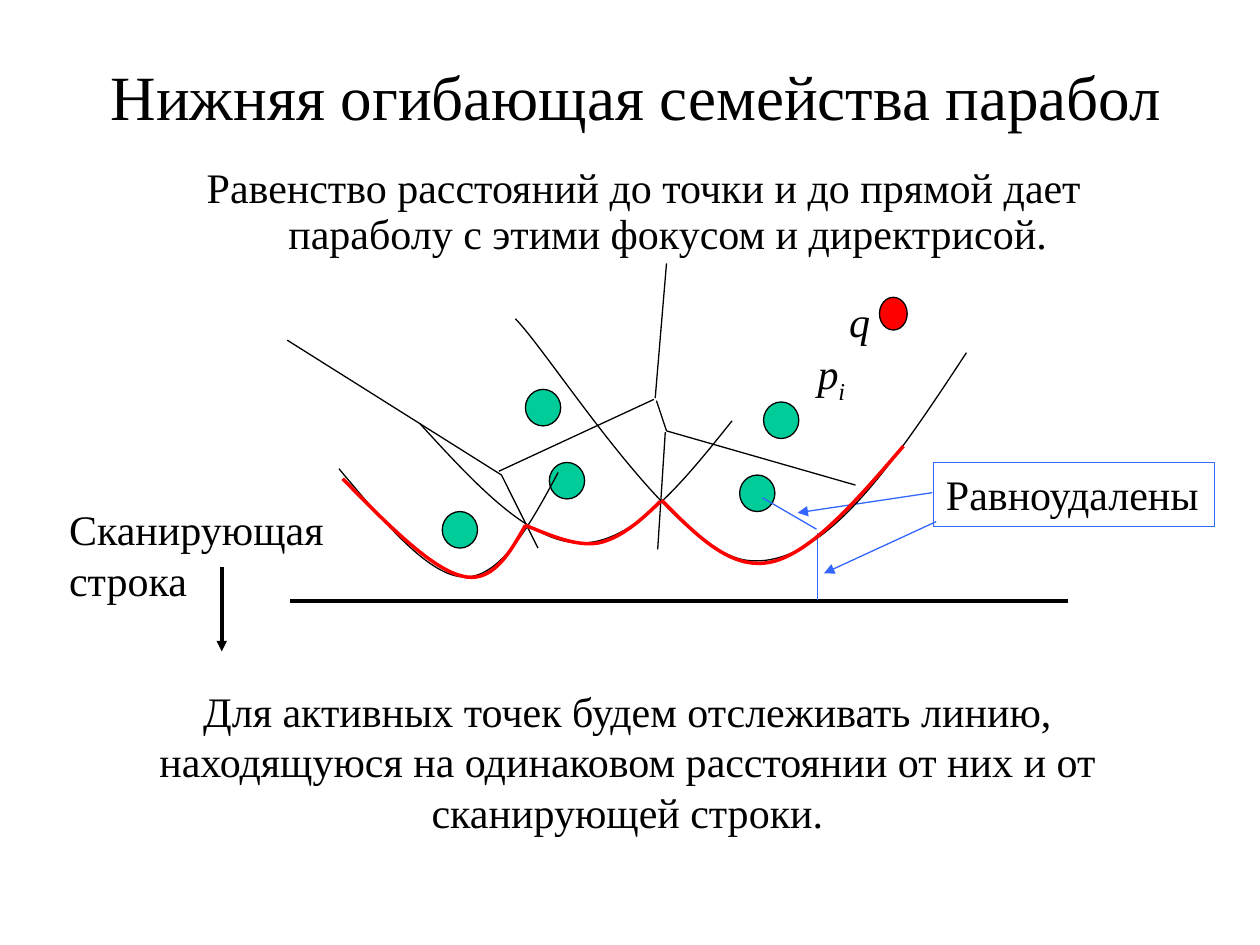
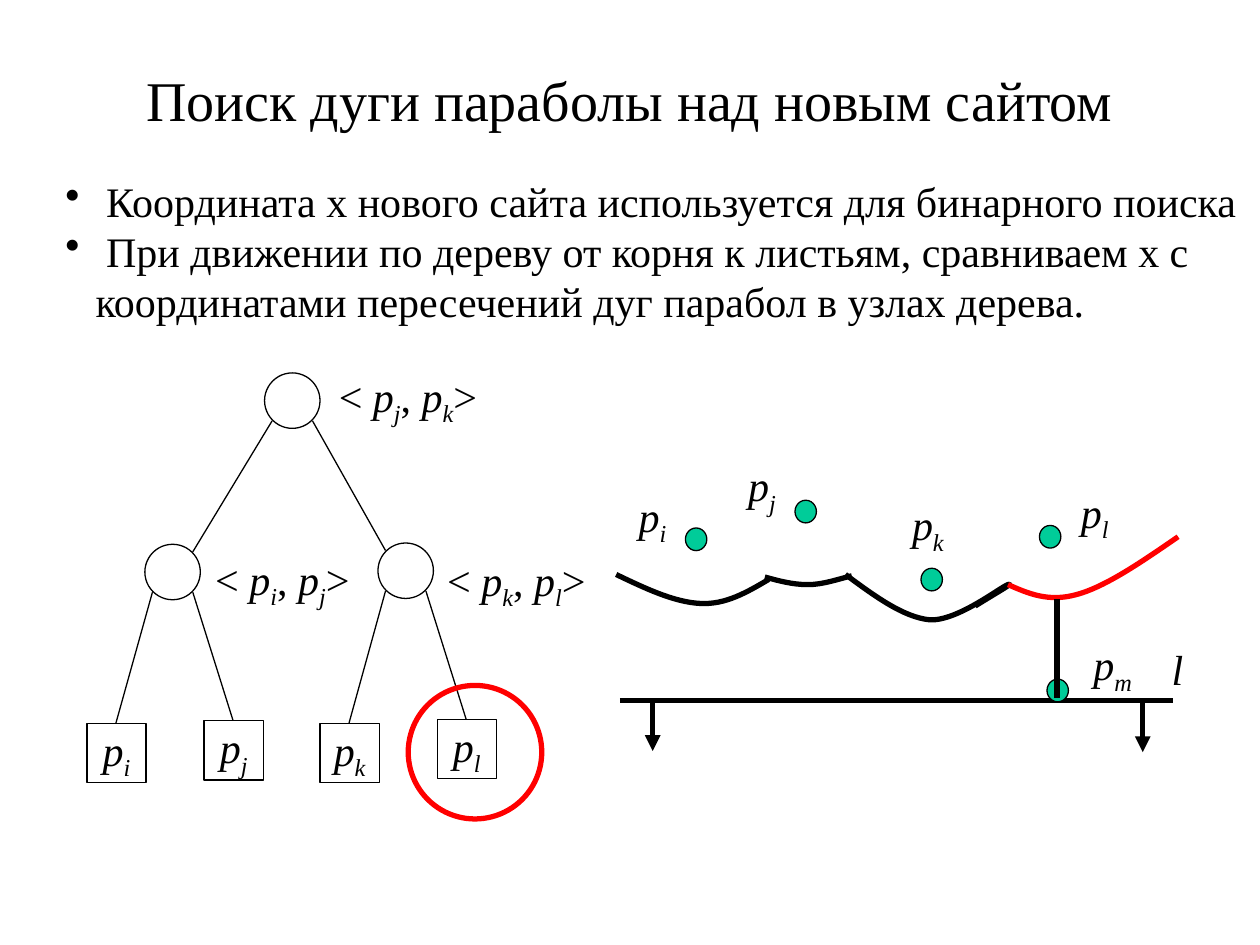
from lxml import etree
from pptx import Presentation
from pptx.dml.color import RGBColor
from pptx.enum.shapes import MSO_CONNECTOR, MSO_SHAPE
from pptx.enum.text import MSO_ANCHOR, MSO_AUTO_SIZE, PP_ALIGN
from pptx.oxml.ns import qn
from pptx.util import Pt

PX = 9144
FONT = "Times New Roman"
COLORS = {"ink": "000000", "paper": "FFFFFF", "site": "00CC99", "accent": "FF0000", "distance": "3366FF"}
STRAIGHT = MSO_CONNECTOR.STRAIGHT
ELLIPSE, RECT = MSO_SHAPE.OVAL, MSO_SHAPE.RECTANGLE
LEFT, CENTER = PP_ALIGN.LEFT, PP_ALIGN.CENTER
TOP, MIDDLE = MSO_ANCHOR.TOP, MSO_ANCHOR.MIDDLE
GROW, FIXED = MSO_AUTO_SIZE.SHAPE_TO_FIT_TEXT, MSO_AUTO_SIZE.NONE


def rgb(name):
    return RGBColor.from_string(COLORS[name])


class Deck:
    """Holds the shared style and the slide being drawn."""

    def __init__(self):
        self.prs = Presentation()
        self.prs.slide_width, self.prs.slide_height = 1000 * PX, 750 * PX
        self.shapes = None

    def new_slide(self, title, box, size):
        slide = self.prs.slides.add_slide(self.prs.slide_layouts[6])
        slide.background.fill.solid()
        slide.background.fill.fore_color.rgb = rgb("paper")
        self.shapes = slide.shapes
        self.text([title], box, size=size, align=CENTER, anchor=MIDDLE, grow=FIXED)

    def outline(self, line, color, weight):
        line.color.rgb = rgb(color)
        line.width = Pt(weight)

    def typeset(self, frame, pieces, size=24, align=LEFT):
        """Fill the last paragraph; a piece such as p_i is italic with a subscript."""
        paragraph = frame.paragraphs[-1]
        paragraph.alignment = align
        paragraph.font.name, paragraph.font.size = FONT, Pt(size)
        paragraph.font.color.rgb = rgb("ink")
        for piece in pieces:
            base, mark, index = piece.partition("_")
            run = paragraph.add_run()
            run.text = base
            if mark:
                run.font.italic = True
            if index:
                subscript = paragraph.add_run()
                subscript.text = index
                subscript.font.italic = True
                subscript._r.get_or_add_rPr().set("baseline", "-25000")

    def indent(self, paragraph, hang, bullet=None):
        properties = paragraph._p.get_or_add_pPr()
        properties.set("marL", str(hang * PX))
        properties.set("indent", str(-hang * PX))
        if bullet:
            mark = etree.Element(qn("a:buChar"), char=bullet)
            properties.find(qn("a:defRPr")).addprevious(mark)

    def fit(self, frame, wrap, anchor=TOP, grow=GROW):
        frame.word_wrap, frame.vertical_anchor, frame.auto_size = wrap, anchor, grow

    def text(self, pieces, box, size=24, align=LEFT, anchor=TOP, wrap=True, grow=GROW):
        frame = self.shapes.add_textbox(*(v * PX for v in box)).text_frame
        self.fit(frame, wrap, anchor, grow)
        self.typeset(frame, pieces, size, align)
        return frame

    def label(self, pieces, x, y, width=43):
        self.text(pieces, (x, y, width, 50), wrap=False)

    def shape(self, kind, box, fill=None, color="ink", weight=0.75):
        shape = self.shapes.add_shape(kind, *(v * PX for v in box))
        shape.shadow.inherit = False
        if fill:
            shape.fill.solid()
            shape.fill.fore_color.rgb = rgb(fill)
        else:
            shape.fill.background()
        if color:
            self.outline(shape.line, color, weight)
        else:
            shape.line.fill.background()
        return shape

    def line(self, x1, y1, x2, y2, color="ink", weight=0.75, arrow=False):
        link = self.shapes.add_connector(STRAIGHT, x1 * PX, y1 * PX, x2 * PX, y2 * PX)
        self.outline(link.line, color, weight)
        properties = link._element.spPr
        if arrow:
            etree.SubElement(properties.find(qn("a:ln")), qn("a:tailEnd"), type="triangle")
        etree.SubElement(properties, qn("a:effectLst"))

    def curve(self, points, color="ink", weight=0.75):
        """Draw Bézier arcs: a start, then two controls and an end for each arc."""
        builder = self.shapes.build_freeform(*points[0], scale=PX)
        builder.add_line_segments(points[1:], close=False)
        arc = builder.convert_to_shape()
        arc.shadow.inherit = False
        arc.fill.background()
        self.outline(arc.line, color, weight)
        steps = list(arc._element.iter(qn("a:lnTo")))
        for first in range(0, len(steps), 3):
            bezier = etree.Element(qn("a:cubicBezTo"))
            steps[first].addprevious(bezier)
            for step in steps[first:first + 3]:
                bezier.append(step[0])
                step.getparent().remove(step)


def envelope_slide(deck):
    deck.new_slide("Нижняя огибающая семейства парабол", (40, 13, 930, 125), 36)
    intro = deck.text(["Равенство расстояний до точки и до прямой дает параболу с этими фокусом и директрисой."],
                      (86, 128, 850, 74), align=CENTER, grow=FIXED).paragraphs[0]
    intro.line_spacing, intro.space_before = 0.9, Pt(4.8)
    deck.indent(intro, 38)

    deck.line(230, 477, 848, 477, weight=2)
    deck.text(["Сканирующая строка"], (45, 395, 225, 91))
    deck.line(176, 450, 176, 517, weight=2, arrow=True)

    voronoi_edges = [
        (529, 342, 521, 318), (228, 270, 398, 377), (398, 377, 427, 435), (522, 436, 528, 343),
        (396, 374, 519, 317), (529, 342, 679, 385), (520, 316, 529, 209),
    ]
    for edge in voronoi_edges:
        deck.line(*edge)
    for x, y in [(587, 377), (606, 319), (351, 406), (436, 367), (417, 309)]:
        deck.shape(ELLIPSE, (x, y, 28, 29), "site")
    deck.label(["p_i"], 639, 271)
    deck.label(["q_"], 664, 230, 37)
    deck.shape(ELLIPSE, (698, 236, 22, 26), "accent")

    conclusion = deck.shape(RECT, (58, 539, 880, 131), "paper", color=None).text_frame
    deck.fit(conclusion, True)
    deck.typeset(conclusion, ["Для активных точек будем отслеживать линию, находящуюся на одинаковом "
                              "расстоянии от них и от сканирующей строки."], align=CENTER)

    deck.line(605, 395, 648, 420, "distance")
    deck.line(649, 423, 649, 476, "distance")
    deck.line(740, 391, 633, 407, "distance", arrow=True)
    deck.line(743, 414, 654, 455, "distance", arrow=True)
    equidistant = deck.shape(RECT, (741, 367, 223, 51), color="distance").text_frame
    deck.fit(equidistant, False)
    deck.typeset(equidistant, ["Равноудалены"])

    parabolas = [
        [(269, 372), (305, 415), (341, 458), (369, 458), (398, 458), (421, 416), (443, 375)],
        [(767, 280), (711, 365), (655, 450), (595, 445), (536, 441), (440, 285), (409, 253)],
        [(333, 336), (377, 384), (420, 431), (461, 431), (503, 431), (542, 383), (581, 334)],
    ]
    envelope = [
        [(525, 397), (553, 425), (580, 453), (612, 446), (644, 439), (681, 396), (717, 354)],
        [(272, 380), (307, 416), (342, 451), (366, 457), (390, 464), (404, 440), (417, 417)],
        [(417, 417), (437, 425), (457, 434), (475, 431), (493, 427), (509, 413), (524, 398)],
    ]
    for parabola in parabolas:
        deck.curve(parabola)
    for arc in envelope:
        deck.curve(arc, "accent", 2)


def search_tree(deck):
    node, corner, leaf = 44, 16, 47
    root, children = (232, 318), [(137, 454), (322, 453)]
    leaves = [(69, 574, "p_i"), (162, 572, "p_j"), (254, 574, "p_k"), (347, 571, "p_l")]
    for x, y in [root] + children:
        deck.shape(ELLIPSE, (x - node // 2, y - node // 2, node, node))
    for side, (x, y) in zip((-1, 1), children):
        deck.line(root[0] + side * corner, root[1] + corner, x - side * corner, y - corner)
    for number, (x, y, site) in enumerate(leaves):
        frame = deck.shape(RECT, (x, y, leaf, leaf)).text_frame
        deck.fit(frame, False, MIDDLE, FIXED)
        deck.typeset(frame, [site], align=CENTER)
        parent_x, parent_y = children[number // 2]
        side = 1 if number % 2 else -1
        deck.line(parent_x + side * corner, parent_y + corner, x + leaf // 2, y)
    for first, second, x, y, width in [("p_j", "p_k", 259, 289, 132), ("p_i", "p_j", 161, 434, 128),
                                       ("p_k", "p_l", 345, 435, 132)]:
        deck.label(["< ", first, ", ", second, ">"], x, y, width)


def beach_line(deck):
    site_size = (17, 18)
    for x, y in [(731, 451), (825, 417), (631, 397), (544, 419)]:
        deck.shape(ELLIPSE, (x, y, *site_size), "site")
    for site, x, y, width in [("p_i", 497, 384, 43), ("p_j", 584, 360, 43), ("p_k", 714, 391, 47),
                              ("p_l", 848, 381, 43), ("l_", 920, 506, 29)]:
        deck.label([site], x, y, width)
    deck.line(492, 556, 931, 556, weight=3)
    for x, y in [(518, 557), (907, 558)]:
        deck.line(x, y, x, y + 39, weight=3, arrow=True)
    arcs = [
        [(489, 456), (512, 467), (535, 478), (556, 479), (576, 480), (593, 470), (610, 460)],
        [(607, 458), (618, 461), (629, 464), (641, 464), (653, 464), (664, 460), (676, 457)],
        [(671, 456), (694, 473), (717, 490), (738, 492), (760, 493), (794, 466), (800, 464),
         (806, 462), (790, 471), (774, 481)],
    ]
    for arc in arcs:
        deck.curve(arc, weight=3)
    found_arc = [(800, 464), (816, 471), (832, 478), (854, 472), (877, 466), (906, 446), (935, 426)]
    deck.curve(found_arc, "accent", 3)
    deck.shape(ELLIPSE, (324, 544, 106, 106), color="accent", weight=3)
    deck.shape(ELLIPSE, (831, 539, *site_size), "site")
    deck.line(839, 554, 839, 475, weight=3)
    deck.label(["p_m"], 858, 502, 53)


def search_slide(deck):
    deck.new_slide("Поиск дуги параболы над новым сайтом", (75, 45, 850, 67), 32)
    search_tree(deck)
    steps = deck.text([" Координата x нового сайта используется для бинарного поиска"], (42, 134, 958, 131))
    steps.add_paragraph()
    deck.typeset(steps, [" При движении по дереву от корня к листьям, сравниваем x с координатами "
                         "пересечений дуг парабол в узлах дерева."])
    for step in steps.paragraphs:
        deck.indent(step, 24, "•")
    beach_line(deck)


def main():
    deck = Deck()
    envelope_slide(deck)
    search_slide(deck)
    deck.prs.save("out.pptx")


if __name__ == "__main__":
    main()
